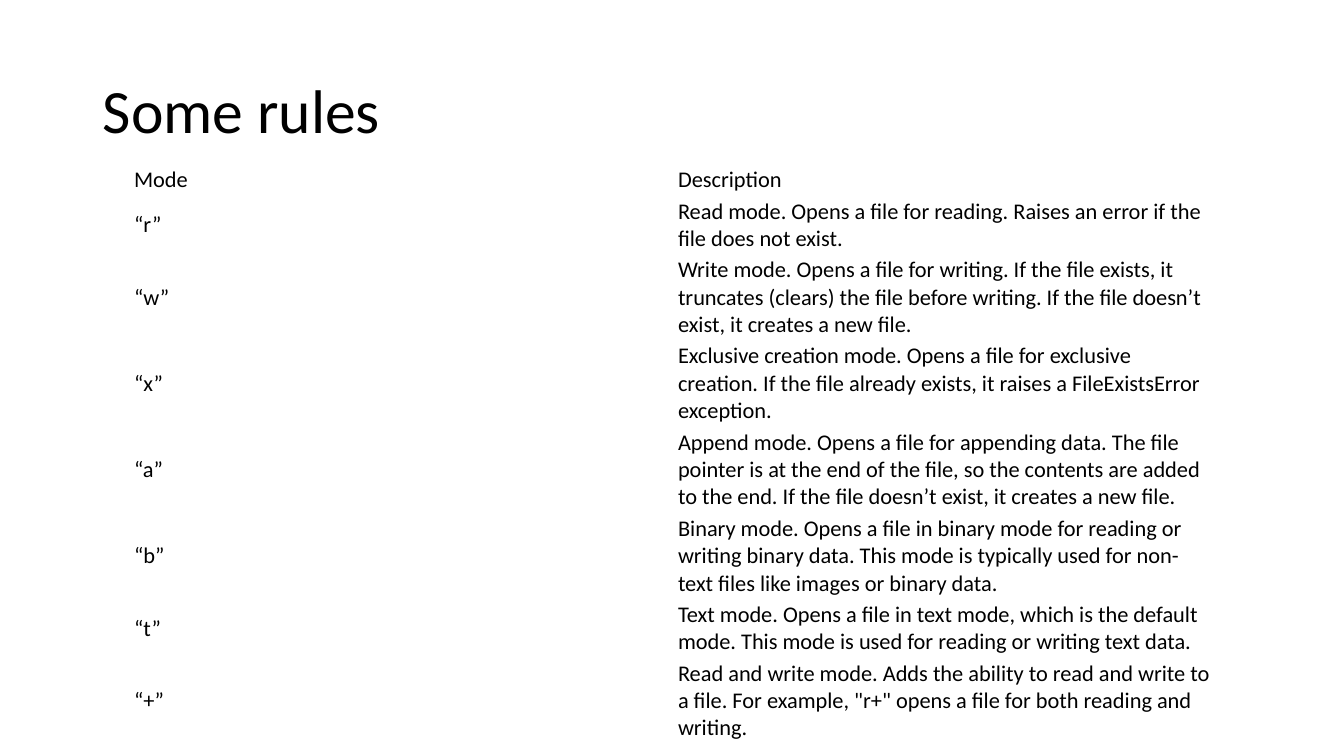
from lxml import etree
from pptx import Presentation
from pptx import util as u
from pptx.dml.color import RGBColor
from pptx.enum import text
from pptx.oxml.ns import qn

COLOURS = {"ink": "000000", "paper": "FFFFFF"}
FONT = "Calibri"
TITLE_BOX = (0.92, 0.4, 11.5, 1.45)
RULES_BOX = (1.29, 1.63, 10.79, 5.66)
MODES = [
    ("Mode", "Description", 0.18),
    ("“r”", "Read mode. Opens a file for reading. Raises an error if the file does not exist.", 0.44),
    ("“w”", "Write mode. Opens a file for writing. If the file exists, it truncates (clears) the file "
     "before writing. If the file doesn’t exist, it creates a new file.", 0.84),
    ("“x”", "Exclusive creation mode. Opens a file for exclusive creation. If the file already exists, "
     "it raises a FileExistsError exception.", 0.71),
    ("“a”", "Append mode. Opens a file for appending data. The file pointer is at the end of the file, "
     "so the contents are added to the end. If the file doesn’t exist, it creates a new file.", 0.84),
    ("“b”", "Binary mode. Opens a file in binary mode for reading or writing binary data. This mode is "
     "typically used for non-text files like images or binary data.", 0.84),
    ("“t”", "Text mode. Opens a file in text mode, which is the default mode. This mode is used for "
     "reading or writing text data.", 0.57),
    ("“+”", "Read and write mode. Adds the ability to read and write to a file. For example, "
     "\"r+\" opens a file for both reading and writing.", 0.71),
]


def style_text(paragraph, size):
    """Apply the slide's font, colour and left alignment to a paragraph."""
    paragraph.alignment = text.PP_ALIGN.LEFT
    for run in paragraph.runs:
        run.font.name = FONT
        run.font.size = u.Pt(size)
        run.font.bold = False
        run.font.color.rgb = RGBColor.from_string(COLOURS["ink"])


def outline_cell(cell):
    """Draw the thin paper-coloured border on all four sides of a cell."""
    properties = cell._tc.get_or_add_tcPr()
    for place, side in enumerate(("a:lnL", "a:lnR", "a:lnT", "a:lnB")):
        border = etree.Element(qn(side), w=str(u.Pt(0.6)))
        fill = etree.SubElement(border, qn("a:solidFill"))
        etree.SubElement(fill, qn("a:srgbClr"), val=COLOURS["paper"])
        properties.insert(place, border)


def fill_cell(cell, wording):
    """Write one cell with its margins, fill and border."""
    cell.text = wording
    cell.vertical_anchor = text.MSO_ANCHOR.MIDDLE
    cell.margin_left = cell.margin_right = u.Inches(0.04)
    cell.margin_top = cell.margin_bottom = u.Inches(0.02)
    cell.fill.solid()
    cell.fill.fore_color.rgb = RGBColor.from_string(COLOURS["paper"])
    outline_cell(cell)
    style_text(cell.text_frame.paragraphs[0], 16)


def place_title(slide, box):
    """Put the heading into the title placeholder."""
    title = slide.shapes.title
    title.left, title.top, title.width, title.height = map(u.Inches, box)
    title.text_frame.text = "Some rules"
    title.text_frame.vertical_anchor = text.MSO_ANCHOR.MIDDLE
    heading = title.text_frame.paragraphs[0]
    heading.line_spacing = 0.9
    style_text(heading, 44)


def place_rules(slide, box):
    """Lay out the file modes as a table of two equal columns."""
    rules = slide.shapes.add_table(len(MODES), 2, *map(u.Inches, box)).table
    rules.first_row = rules.horz_banding = False
    for column in rules.columns:
        column.width = u.Inches(box[2] / 2)
    for row, (mode, description, height) in zip(rules.rows, MODES):
        row.height = u.Inches(height)
        for cell, wording in zip(row.cells, (mode, description)):
            fill_cell(cell, wording)


def main():
    """Build and save the slide."""
    deck = Presentation()
    deck.slide_width, deck.slide_height = u.Inches(13.33), u.Inches(7.5)
    slide = deck.slides.add_slide(deck.slide_layouts[5])
    place_title(slide, TITLE_BOX)
    place_rules(slide, RULES_BOX)
    deck.save("out.pptx")


if __name__ == "__main__":
    main()
